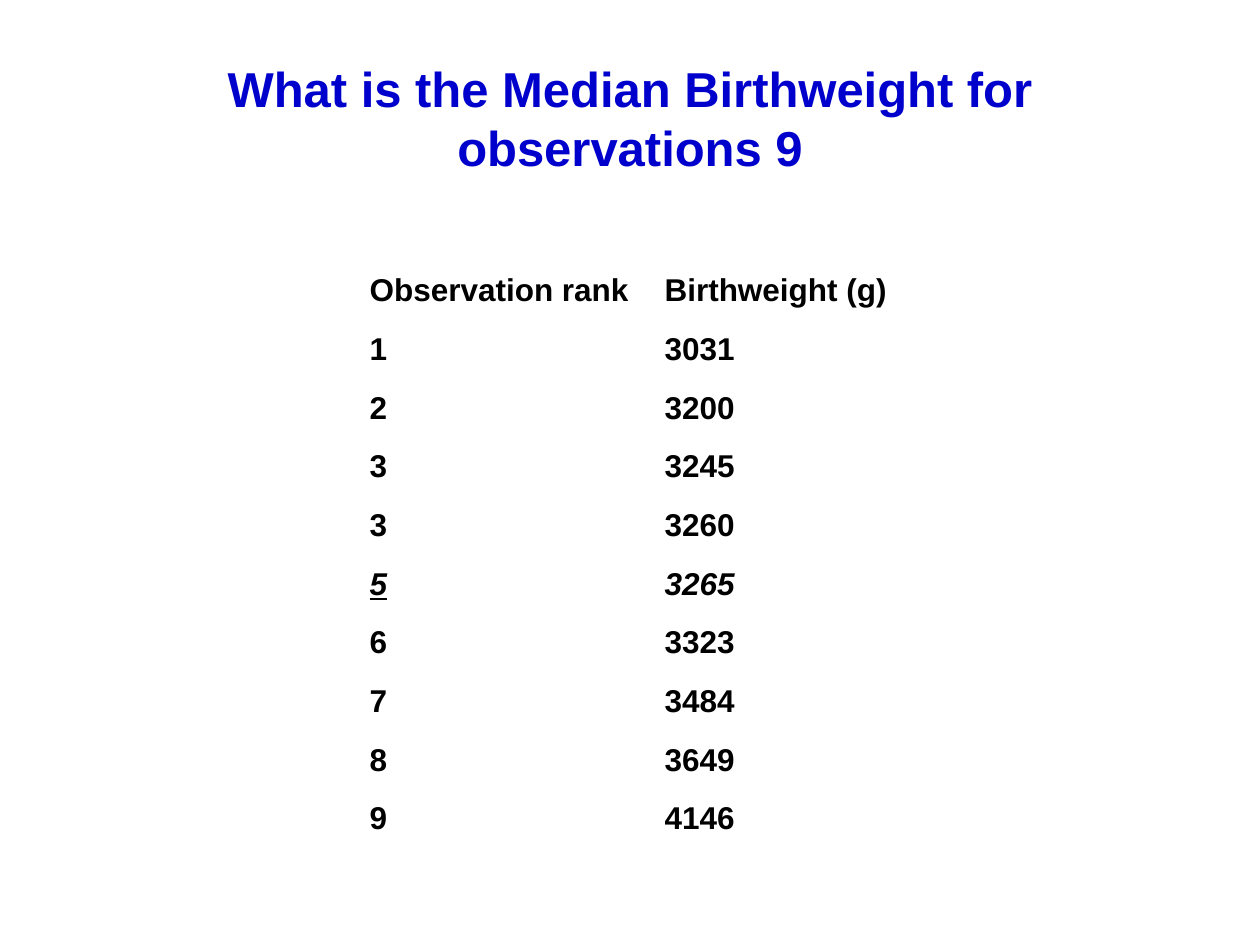
from pptx import Presentation
from pptx.dml.color import RGBColor
from pptx.enum.text import MSO_ANCHOR, PP_ALIGN
from pptx.util import Pt

PX = 914400 // 126  # EMU in one px

TITLE = "What is the Median Birthweight for observations 9"
HEADER = ("Observation rank", "Birthweight (g)")
RANKS = (1, 2, 3, 3, 5, 6, 7, 8, 9)
WEIGHTS = (3031, 3200, 3245, 3260, 3265, 3323, 3484, 3649, 4146)
MEDIAN_ROW = 5


def px(length):
    return length * PX


def style(font, size, color):
    font.name = "Arial"
    font.size = Pt(size)
    font.bold = True
    font.color.rgb = RGBColor.from_string(color)


def add_title(page, left, top, width, height):
    box = page.shapes.add_textbox(px(left), px(top), px(width), px(height))
    frame = box.text_frame
    frame.word_wrap = True
    frame.vertical_anchor = MSO_ANCHOR.MIDDLE
    para = frame.paragraphs[0]
    para.text = TITLE
    para.alignment = PP_ALIGN.CENTER
    style(para.font, 28, "0000CC")


def add_birthweights(page, left, top, width, height):
    rows = [HEADER, *zip(RANKS, WEIGHTS)]
    table = page.shapes.add_table(
        len(rows), len(HEADER), px(left), px(top), px(width), px(height)
    ).table
    table.first_row = table.horz_banding = False

    # Column widths, a tall header and equal rows below it
    rank_width, header_height = 295, 94
    table.columns[0].width = px(rank_width)
    table.columns[1].width = px(width - rank_width)
    for row in table.rows:
        row.height = px(height - header_height) // len(RANKS)
    table.rows[0].height = px(header_height)

    # Cell text, with the median set apart
    for row_index, row in enumerate(rows):
        for column_index, value in enumerate(row):
            cell = table.cell(row_index, column_index)
            cell.fill.background()
            cell.vertical_anchor = MSO_ANCHOR.BOTTOM
            para = cell.text_frame.paragraphs[0]
            para.text = str(value)
            style(para.font, 18, "000000")
            if row_index == MEDIAN_ROW:
                para.font.italic = True
                para.font.underline = column_index == 0


def main():
    deck = Presentation()
    deck.slide_width, deck.slide_height = px(1260), px(945)
    page = deck.slides.add_slide(deck.slide_layouts[6])
    add_title(page, 63, 38, 1134, 158)
    add_birthweights(page, 357, 221, 557, 622)
    deck.save("out.pptx")


if __name__ == "__main__":
    main()
